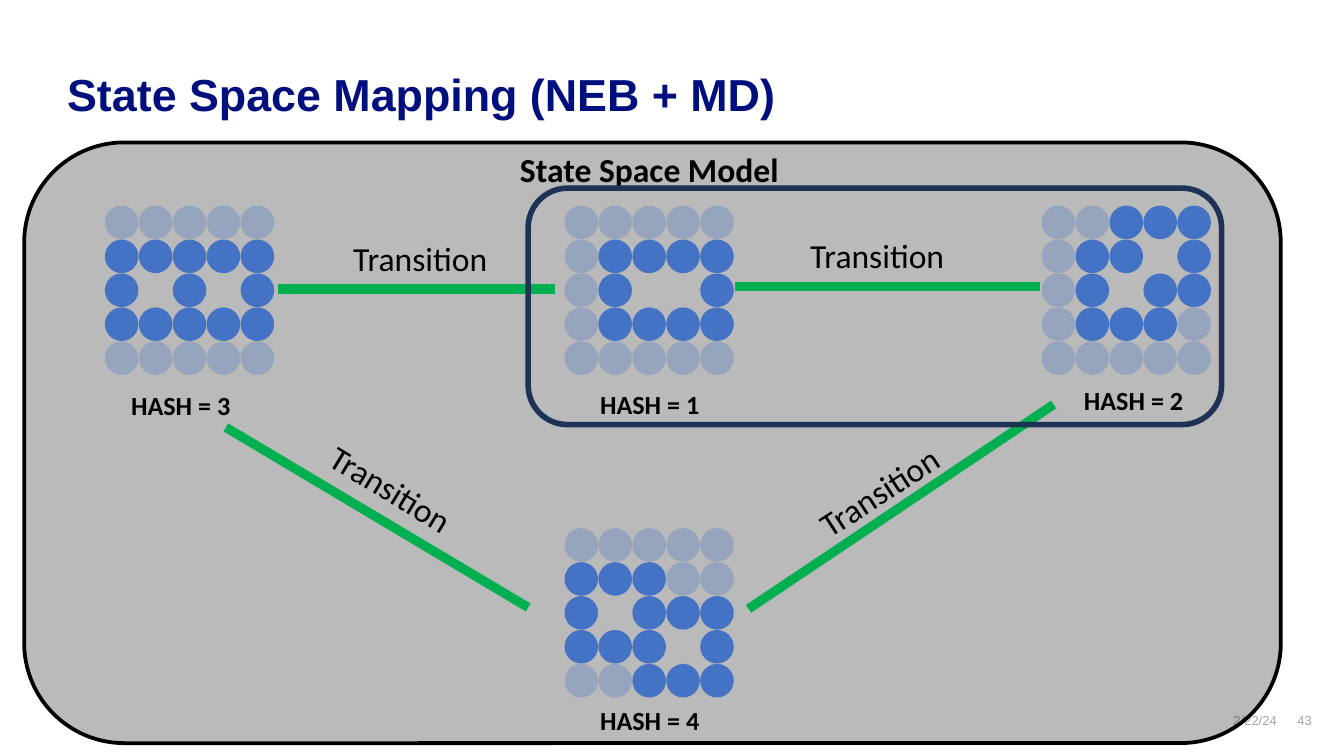
from lxml import etree
from pptx import Presentation
from pptx.dml.color import RGBColor
from pptx.enum import shapes, text
from pptx.oxml import ns
from pptx.util import Inches, Pt

COLORS = {
    "black": "000000", "title": "000F7E", "muted": "A6A6A6",
    "atom": "4472C4", "link": "00B050", "frame": "1E3256",
}

FORMATS = {
    "title": {"size": Pt(24), "name": "Arial", "bold": True},
    "footer": {"size": Pt(7), "name": "Arial", "bold": False},
    "heading": {"size": Pt(18), "name": "Calibri", "bold": True},
    "transition": {"size": Pt(18), "name": "Calibri", "bold": False},
    "hash": {"size": Pt(14), "name": "Calibri", "bold": True},
}

DOT = 0.25
PITCH = 1.01 / 4  # distance between the centres of neighbouring atoms

# Lattices: left, top, label left, label top, label, rows
# "#" is a highlighted atom, "." a faint atom, a blank is a vacancy
STATES = [
    (0.78, 1.53, 0.87, 2.85, "HASH = 3", [".....", "#####", "# # #", "#####", "....."]),
    (4.20, 3.93, 4.36, 5.19, "HASH = 4", [".....", "###..", "# ###", "### #", "..###"]),
    (7.75, 1.53, 7.96, 2.81, "HASH = 2", ["..###", ".## #", ".# ##", ".###.", "....."]),
    (4.20, 1.53, 4.36, 2.84, "HASH = 1", [".....", ".####", ".#  #", ".####", "....."]),
]

# Transitions: line start, line end, label position, label rotation
TRANSITIONS = [
    ((5.47, 2.13), (7.74, 2.13), (5.93, 1.70), 0),
    ((2.07, 2.15), (4.13, 2.15), (2.53, 1.72), 0),
    ((1.68, 3.18), (3.93, 4.52), (2.31, 3.44), 31.2),
    ((5.57, 4.53), (7.84, 3.01), (5.94, 3.45), 327),
]


def color(name):
    return RGBColor.from_string(COLORS[name])


def add_label(page, at, words, style, ink="black", align="LEFT", inset=True, wrap=False, turn=0):
    box = page.shapes.add_textbox(*map(Inches, at))
    box.rotation = turn
    frame = box.text_frame
    frame.word_wrap = wrap
    if not inset:
        for side in ("left", "top", "right", "bottom"):
            setattr(frame, f"margin_{side}", 0)
    para = frame.paragraphs[0]
    para.alignment = getattr(text.PP_ALIGN, align)
    span = para.add_run()
    span.text = words
    span.font.color.rgb = color(ink)
    for key, value in FORMATS[style].items():
        setattr(span.font, key, value)


def add_figure(page, kind, at, fill=None, opacity=100, line=None, width=0):
    figure = page.shapes.add_shape(kind, *map(Inches, at))
    figure.shadow.inherit = False
    if fill:
        figure.fill.solid()
        figure.fill.fore_color.rgb = color(fill)
        if opacity < 100:
            tint = figure.fill._xPr.find(".//" + ns.qn("a:srgbClr"))
            etree.SubElement(tint, ns.qn("a:alpha"), val=str(opacity * 1000))
    else:
        figure.fill.background()
    if line:
        figure.line.color.rgb = color(line)
        figure.line.width = Pt(width)
    else:
        figure.line.fill.background()


def add_lattice(page, left, top, rows):
    for row, cells in enumerate(rows):
        for column, cell in enumerate(cells):
            if cell != " ":
                at = (left + column * PITCH, top + row * PITCH, DOT, DOT)
                add_figure(page, shapes.MSO_SHAPE.OVAL, at, "atom", 100 if cell == "#" else 30)


def add_link(page, start, end):
    link = page.shapes.add_connector(
        shapes.MSO_CONNECTOR.STRAIGHT, *map(Inches, start + end))
    link.line.color.rgb = color("link")
    link.line.width = Pt(5)
    etree.SubElement(link._element.spPr, ns.qn("a:effectLst"))


def main():
    # Widescreen page, 16:9
    deck = Presentation()
    deck.slide_width = Inches(10)
    deck.slide_height = Inches(10 * 9 / 16)
    page = deck.slides.add_slide(deck.slide_layouts[6])

    # Footer and title
    add_label(page, (9.52, 5.3, 0.24, 0.22), "43", "footer", "muted", "RIGHT", False, True)
    add_label(page, (8.83, 5.3, 0.67, 0.16), "2/22/24", "footer", "muted", "RIGHT", False, True)
    add_label(page, (0.5, 0.5, 9.03, 0.73), "State Space Mapping (NEB + MD)",
              "title", "title", inset=False, wrap=True)

    # Model panel
    rounded = shapes.MSO_SHAPE.ROUNDED_RECTANGLE
    add_figure(page, rounded, (0.18, 1.06, 9.35, 4.47), "black", 27, "black", 2)
    add_label(page, (3.77, 1.06, 2.49, 0.4), "State Space Model", "heading", wrap=True)

    # States with their hashes
    for left, top, label_left, label_top, label, rows in STATES:
        add_lattice(page, left, top, rows)
        add_label(page, (label_left, label_top, 0.95, 0.34), label, "hash", align="CENTER")

    # Transitions between states
    for start, end, place, turn in TRANSITIONS:
        add_link(page, start, end)
        add_label(page, place + (1.21, 0.4), "Transition", "transition", turn=turn)

    # Frame around states 1 and 2
    add_figure(page, rounded, (3.93, 1.4, 5.16, 1.76), line="frame", width=3)

    deck.save("out.pptx")


if __name__ == "__main__":
    main()
